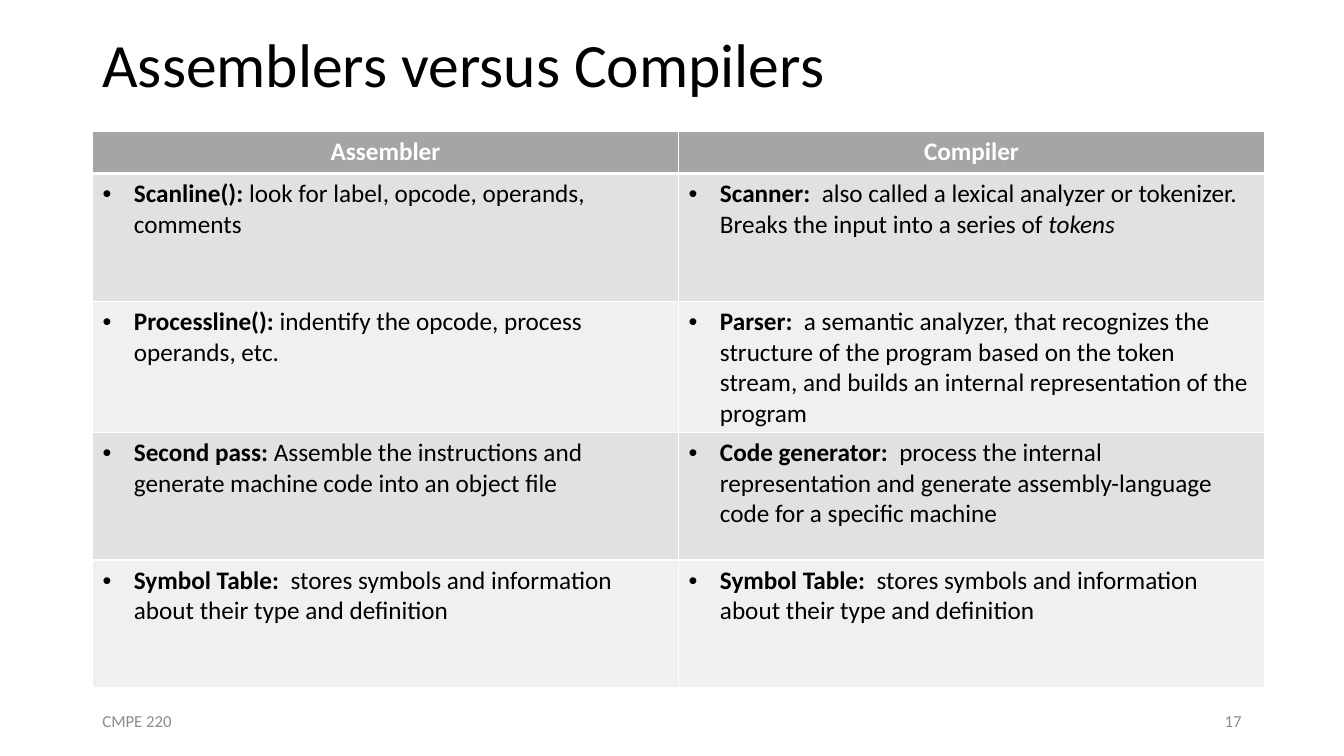
from lxml import etree
from pptx import Presentation
from pptx.dml.color import RGBColor
from pptx.enum.text import MSO_ANCHOR as Anchor, PP_ALIGN as Align
from pptx.oxml.ns import qn
from pptx.util import Cm, Pt

FONT = "Calibri"
BLACK = RGBColor(0x00, 0x00, 0x00)
WHITE = RGBColor(0xFF, 0xFF, 0xFF)
FOOTER_GRAY = RGBColor(0x8C, 0x8C, 0x8C)
HEADER_GRAY = RGBColor(0xA5, 0xA5, 0xA5)
BANDS = (RGBColor(0xE1, 0xE1, 0xE1), RGBColor(0xF0, 0xF0, 0xF0))

LEFT, CONTENT_WIDTH = Cm(2.33), Cm(29.21)
FOOTER_TOP, FOOTER_WIDTH, FOOTER_HEIGHT = Cm(17.65), Cm(7.62), Cm(1.01)
HEADER_HEIGHT, ROW_HEIGHT = Cm(1.06), Cm(3.22)
INDENT = Cm(0.79)

SYMBOL_TABLE = [("Symbol Table:  ", "b"),
                ("stores symbols and information about their type and definition", "")]
HEADINGS = ["Assembler", "Compiler"]
COMPARISON = [
    ([("Scanline(): ", "b"), ("look for label, opcode, operands, comments", "")],
     [("Scanner:  ", "b"),
      ("also called a lexical analyzer or tokenizer.  Breaks the input into a series of ", ""),
      ("tokens", "i")]),
    ([("Processline():", "b"), (" indentify the opcode, process operands, etc.", "")],
     [("Parser: ", "b"),
      (" a semantic analyzer, that recognizes the structure of the program based on "
       "the token stream, and builds an internal representation of the program", "")]),
    ([("Second pass: ", "b"),
      ("Assemble the instructions and generate machine code into an object file", "")],
     [("Code generator:  ", "b"),
      ("process the internal representation and generate assembly-language code "
       "for a specific machine", "")]),
    (SYMBOL_TABLE, SYMBOL_TABLE),
]


def style_span(span, size, color, style=""):
    span.font.name = FONT
    span.font.size = Pt(size)
    span.font.color.rgb = color
    span.font.bold = "b" in style
    span.font.italic = "i" in style


def add_text(page, left, top, width, height, text, size, color, align=Align.LEFT):
    box = page.shapes.add_textbox(left, top, width, height)
    frame = box.text_frame
    frame.word_wrap = True
    frame.vertical_anchor = Anchor.MIDDLE
    frame.text = text
    para = frame.paragraphs[0]
    para.alignment = align
    style_span(para.runs[0], size, color)
    return para


def add_bullet(para):
    properties = para._p.get_or_add_pPr()
    properties.set("marL", str(INDENT))
    properties.set("indent", str(-INDENT))
    etree.SubElement(properties, qn("a:buFont")).set("typeface", "Arial")
    etree.SubElement(properties, qn("a:buChar")).set("char", "•")


def paint_cell(cell, color, top=1, bottom=1):
    properties = cell._tc.get_or_add_tcPr()
    for side, width in (("L", 1), ("R", 1), ("T", top), ("B", bottom)):
        line = etree.SubElement(properties, qn(f"a:ln{side}"), w=str(Pt(width)))
        fill = etree.SubElement(line, qn("a:solidFill"))
        etree.SubElement(fill, qn("a:srgbClr")).set("val", str(WHITE))
    cell.fill.solid()
    cell.fill.fore_color.rgb = color


def add_comparison(page, left, top, width):
    height = HEADER_HEIGHT + ROW_HEIGHT * len(COMPARISON)
    table = page.shapes.add_table(
        len(COMPARISON) + 1, len(HEADINGS), left, top, width, height).table
    table.rows[0].height = HEADER_HEIGHT
    for column, heading in enumerate(HEADINGS):
        cell = table.cell(0, column)
        cell.text_frame.text = heading
        para = cell.text_frame.paragraphs[0]
        para.alignment = Align.CENTER
        style_span(para.runs[0], 18, WHITE, "b")
        paint_cell(cell, HEADER_GRAY, bottom=3)
    for row, entries in enumerate(COMPARISON, 1):
        table.rows[row].height = ROW_HEIGHT
        for column, entry in enumerate(entries):
            cell = table.cell(row, column)
            para = cell.text_frame.paragraphs[0]
            add_bullet(para)
            for text, style in entry:
                span = para.add_run()
                span.text = text
                style_span(span, 18, BLACK, style)
            paint_cell(cell, BANDS[(row - 1) % 2], top=3 if row == 1 else 1)


def add_footer(page, left, top, width, height):
    add_text(page, left, top, FOOTER_WIDTH, height, "CMPE 220", 12, FOOTER_GRAY)
    add_text(page, left + width - FOOTER_WIDTH, top, FOOTER_WIDTH, height,
             "17", 12, FOOTER_GRAY, Align.RIGHT)


def main():
    deck = Presentation()
    deck.slide_width, deck.slide_height = Cm(33.87), Cm(19.05)
    page = deck.slides.add_slide(deck.slide_layouts[6])
    title = add_text(page, LEFT, 0, CONTENT_WIDTH, Cm(3.43),
                     "Assemblers versus Compilers", 44, BLACK)
    title.line_spacing = 0.9
    add_footer(page, LEFT, FOOTER_TOP, CONTENT_WIDTH, FOOTER_HEIGHT)
    add_comparison(page, LEFT, Cm(3.31), Cm(29.54))
    deck.save("out.pptx")


if __name__ == "__main__":
    main()
